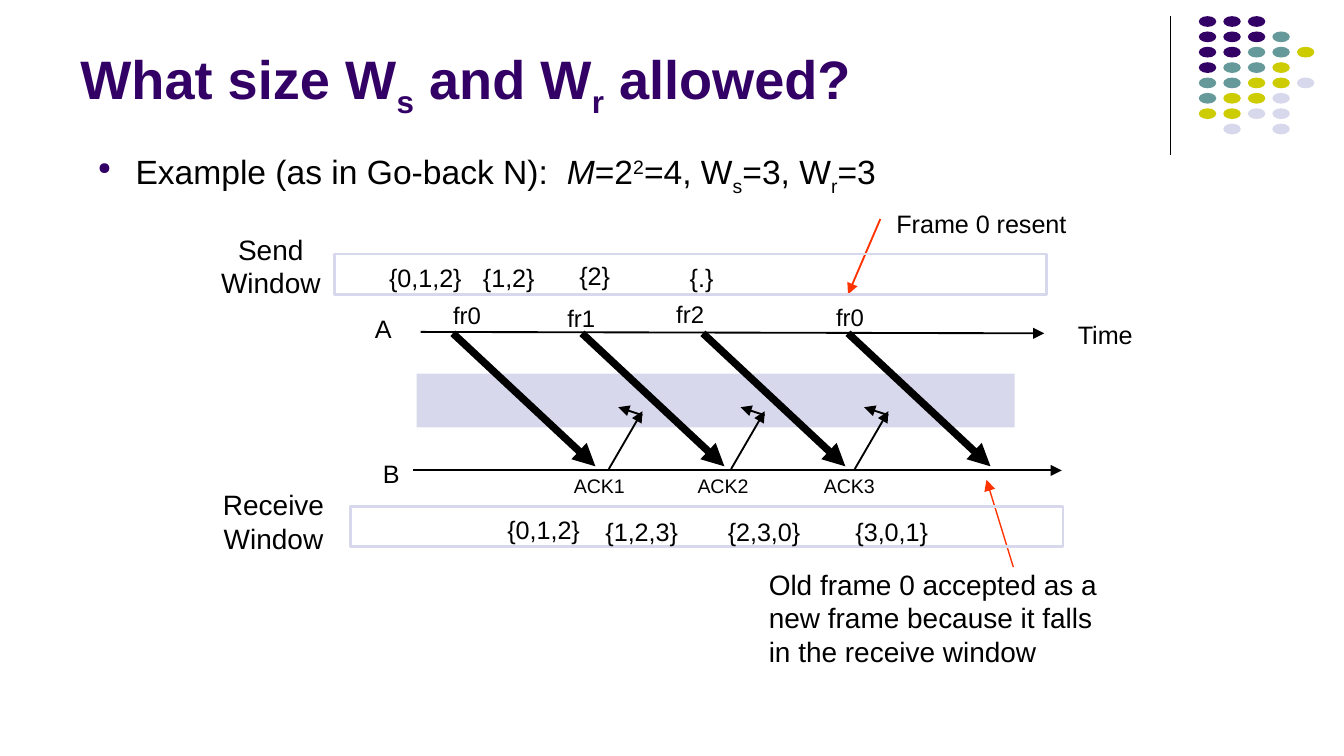
from lxml import etree
from pptx import Presentation
from pptx import util as u
from pptx.dml.color import RGBColor
from pptx.enum import shapes, text
from pptx.oxml import ns


class Theme:
    font = "Arial"
    black = RGBColor.from_string("000000")
    purple = RGBColor.from_string("330066")
    teal = RGBColor.from_string("669999")
    olive = RGBColor.from_string("CCCC00")
    lavender = RGBColor.from_string("D8D8EC")
    red = RGBColor.from_string("FF3300")
    title, body, caption, label, frame, ack = 29, 18, 15, 13.5, 12.8, 10.5


LEFT, CENTER = text.PP_ALIGN.LEFT, text.PP_ALIGN.CENTER
SUB, SUPER = -25000, 30000

prs = Presentation()
prs.slide_width, prs.slide_height = u.Inches(10), u.Inches(10 * 9 / 16)
s = prs.slides.add_slide(prs.slide_layouts[6])


def add_text(box, *paragraphs, size=Theme.label, color=Theme.black, bold=False,
             align=LEFT, anchor=text.MSO_ANCHOR.TOP, inset=(0.1, 0.05),
             wrap=False, bullet=None, spacing=None):
    """Each paragraph is a string or a list of (text, baseline, italic) runs."""
    tf = s.shapes.add_textbox(*map(u.Inches, box)).text_frame
    tf.word_wrap, tf.vertical_anchor = wrap, anchor
    tf.margin_left = tf.margin_right = u.Inches(inset[0])
    tf.margin_top = tf.margin_bottom = u.Inches(inset[1])
    for i, runs in enumerate(paragraphs):
        p = tf.add_paragraph() if i else tf.paragraphs[0]
        if bullet:
            pPr = p._p.get_or_add_pPr()
            pPr.set("marL", str(u.Inches(0.28)))
            pPr.set("indent", str(-u.Inches(0.28)))
            clr = etree.SubElement(pPr, ns.qn("a:buClr"))
            etree.SubElement(clr, ns.qn("a:srgbClr"), val=str(Theme.purple))
            etree.SubElement(pPr, ns.qn("a:buSzPct"), val="50000")
            etree.SubElement(pPr, ns.qn("a:buChar"), char=bullet)
        p.alignment = align
        p.line_spacing = spacing
        for words, baseline, italic in [(runs, 0, False)] if isinstance(runs, str) else runs:
            r = p.add_run()
            r.text = words
            r.font.name, r.font.size = Theme.font, u.Pt(size)
            r.font.bold, r.font.italic = bold, italic
            r.font.color.rgb = color
            if baseline:
                r._r.get_or_add_rPr().set("baseline", str(baseline))


def add_line(x1, y1, x2, y2, width=1, color=Theme.black, arrow=True):
    line = s.shapes.add_connector(shapes.MSO_CONNECTOR.STRAIGHT,
                                  *map(u.Inches, (x1, y1, x2, y2)))
    line.line.width = u.Pt(width)
    line.line.color.rgb = color
    if arrow:
        etree.SubElement(line.line._get_or_add_ln(), ns.qn("a:tailEnd"), type="triangle")
    etree.SubElement(line._element.spPr, ns.qn("a:effectLst"))


# Corner decoration
add_line(8.71, 0.12, 8.71, 1.15, width=0.75, arrow=False)
dot_colors = {"P": Theme.purple, "T": Theme.teal, "Y": Theme.olive, "L": Theme.lavender}
dot_rows = ["PPP", "PPPT", "PPTTY", "PTTY", "TTYYL", "TYYL", "YYLL", ".L.L"]
for row, dots in enumerate(dot_rows):
    for col, key in enumerate(dots):
        if key == ".":
            continue
        dot = s.shapes.add_shape(
            shapes.MSO_SHAPE.OVAL, u.Inches(8.92 + col * 0.73 / 4),
            u.Inches(0.12 + row * 0.8 / 7), u.Inches(0.13), u.Inches(0.08))
        dot.shadow.inherit = False
        dot.fill.solid()
        dot.fill.fore_color.rgb = dot_colors[key]
        dot.line.fill.background()

# Heading and example
add_text((0.5, 0.1, 8.25, 0.84),
         [("What size W", 0, False), ("s", SUB, False), (" and W", 0, False),
          ("r", SUB, False), (" allowed?", 0, False)],
         size=Theme.title, color=Theme.purple, bold=True, wrap=True,
         anchor=text.MSO_ANCHOR.BOTTOM)
add_text((0.63, 1.08, 6.75, 0.44),
         [("Example (as in Go-back N):  ", 0, False), ("M", 0, True), ("=2", 0, False),
          ("2", SUPER, False), ("=4, W", 0, False), ("s", SUB, False),
          ("=3, W", 0, False), ("r", SUB, False), ("=3", 0, False)],
         size=Theme.body, wrap=True, bullet="●", spacing=0.9)

# Channel between the stations
channel = s.shapes.add_shape(shapes.MSO_SHAPE.RECTANGLE,
                             *map(u.Inches, (3.1, 2.78, 4.45, 0.4)))
channel.shadow.inherit = False
channel.fill.solid()
channel.fill.fore_color.rgb = Theme.lavender
channel.line.fill.background()

# Time axes
add_line(3.13, 2.47, 7.77, 2.48)
add_line(3.07, 3.5, 7.9, 3.5)
for label, x, y, w in [("A", 2.7, 2.28, 0.3), ("B", 2.76, 3.36, 0.3),
                       ("Time", 7.93, 2.33, 0.6)]:
    add_text((x, y, w, 0.32), label, inset=(0.09, 0.05))

# Frames sent from A to B
for label, x, y, start in [("fr0", 3.28, 2.19, 3.37), ("fr1", 4.13, 2.21, 4.33),
                           ("fr2", 4.94, 2.18, 5.23), ("fr0", 6.13, 2.2, 6.31)]:
    add_line(start, 2.48, start + 1.06, 3.47, width=4)
    add_text((x, y, 0.39, 0.31), label, size=Theme.frame, align=CENTER, inset=(0.09, 0.05))

# Acknowledgements lost in the channel
for label, x, start in [("ACK1", 4.21, 4.53), ("ACK2", 5.13, 5.44), ("ACK3", 6.07, 6.36)]:
    add_line(start, 3.49, start + 0.25, 3.06)
    add_line(start + 0.25, 3.09, start + 0.07, 3.03)
    add_text((x, 3.5, 0.52, 0.23), label, size=Theme.ack, inset=(0.06, 0.03))

# Callouts
add_line(6.55, 1.63, 6.31, 2.19, color=Theme.red)
add_text((6.6, 1.51, 1.43, 0.3), "Frame 0 resent", inset=(0.07, 0.04))
add_line(7.54, 4.22, 7.34, 3.57, width=0.75, color=Theme.red)
add_text((5.65, 4.18, 2.62, 0.83), "Old frame 0 accepted as a",
         "new frame because it falls", "in the receive window",
         size=Theme.caption, inset=(0.07, 0.04))

# Send and receive windows with their contents
for x, y in [(2.49, 1.89), (2.61, 3.77)]:
    window = s.shapes.add_shape(shapes.MSO_SHAPE.RECTANGLE,
                                *map(u.Inches, (x, y, 5.3, 0.3)))
    window.shadow.inherit = False
    window.fill.background()
    window.line.color.rgb = Theme.lavender
    window.line.width = u.Pt(1.5)
for label, x, y, w in [("{0,1,2}", 2.79, 1.9, 0.75), ("{1,2}", 3.49, 1.9, 0.59),
                       ("{2}", 4.19, 1.89, 0.47), ("{.}", 5.03, 1.9, 0.38),
                       ("{0,1,2}", 3.67, 3.78, 0.75), ("{1,2,3}", 4.4, 3.79, 0.75),
                       ("{2,3,0}", 5.31, 3.79, 0.75), ("{3,0,1}", 6.26, 3.79, 0.75)]:
    add_text((x, y, w, 0.33), label, align=CENTER)
for label, y, w in [("Send Window", 1.68, 1.11), ("Receive Window", 3.58, 1.15)]:
    add_text((1.46, y, w, 0.61), label, size=Theme.caption, align=CENTER, wrap=True)

prs.save("out.pptx")
